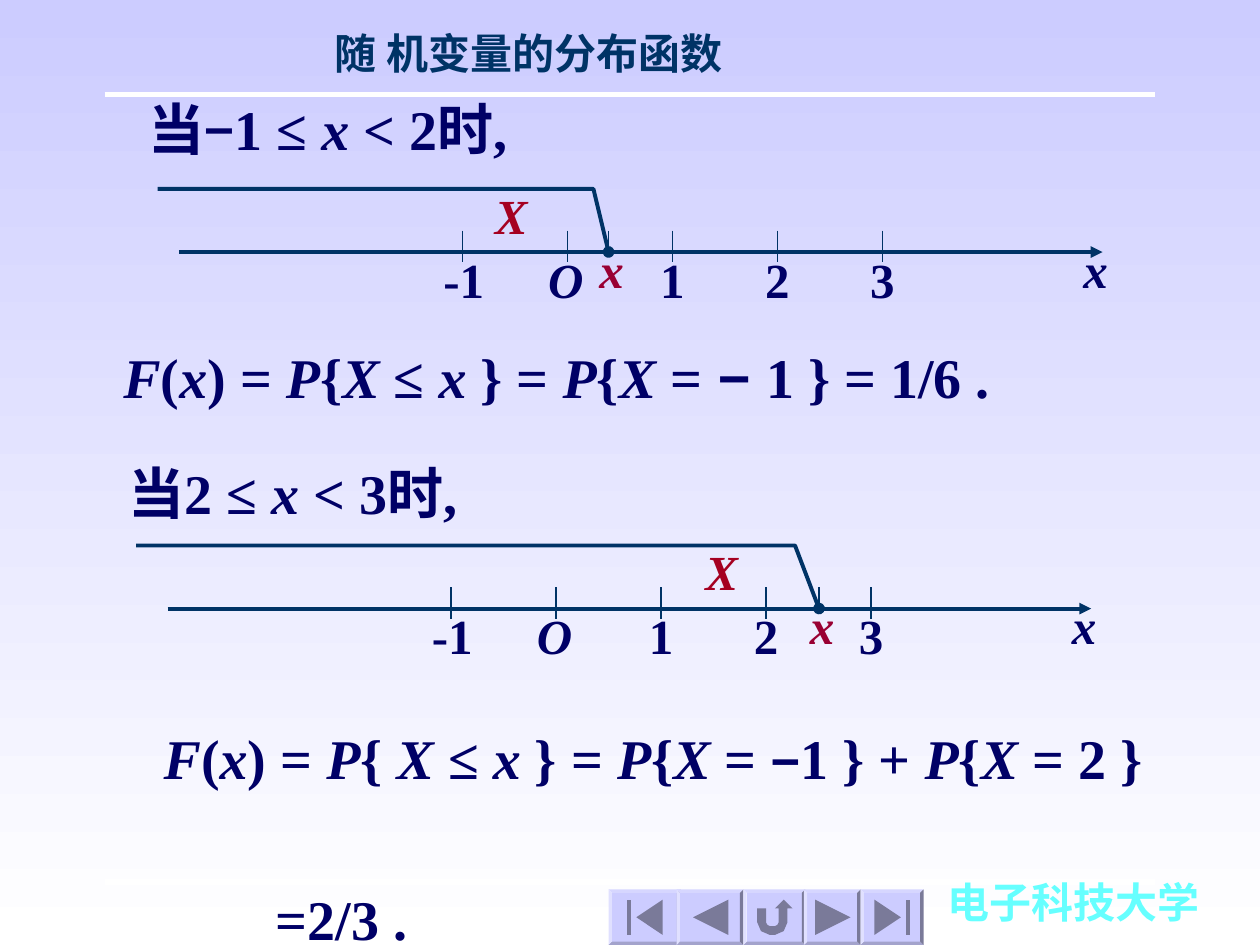
from lxml.etree import SubElement
from pptx import Presentation
from pptx.dml.color import RGBColor
from pptx.enum.shapes import MSO_CONNECTOR, MSO_SHAPE
from pptx.enum.text import MSO_ANCHOR, MSO_AUTO_SIZE, PP_ALIGN
from pptx.oxml.ns import qn
from pptx.util import Inches, Pt

NAVY, TEAL, RED, CRIMSON = "000066", "003366", "A50021", "990033"
LILAC, ICON, WHITE, CYAN = "CCCCFF", "7A7A99", "FFFFFF", "66FFFF"
SERIF, SANS = "Times New Roman", "Arial"
rgb = RGBColor.from_string


def write(shape, paragraphs, size, color=NAVY, align=PP_ALIGN.LEFT, wrap=True):
    """Fill a shape with paragraphs of (text, italic[, font[, size]]) runs."""
    tf = shape.text_frame
    tf.word_wrap = wrap
    tf.auto_size = MSO_AUTO_SIZE.NONE
    tf.vertical_anchor = MSO_ANCHOR.TOP
    for i, runs in enumerate(paragraphs):
        p = tf.add_paragraph() if i else tf.paragraphs[0]
        p.alignment = align
        for text, italic, *special in runs:
            r = p.add_run()
            r.text = text
            r.font.name = special[0] if special else SERIF
            r.font.size = Pt(special[1] if len(special) > 1 else size)
            r.font.bold = True
            r.font.italic = italic
            r.font.color.rgb = rgb(color)
    return tf


def stroke(shape, color, width, end=None, kind=None):
    """Style an outline without shadow; end is headEnd or tailEnd."""
    shape.line.color.rgb = rgb(color)
    shape.line.width = Pt(width)
    if end:
        SubElement(shape.line._get_or_add_ln(), qn("a:" + end), type=kind)
    SubElement(shape._element.spPr, qn("a:effectLst"))


prs = Presentation()
prs.slide_width, prs.slide_height = Inches(10), Inches(7.5)
s = prs.slides.add_slide(prs.slide_layouts[5])
fill = s.background.fill
fill.gradient()
fill.gradient_angle = 270
for stop, color in zip(fill.gradient_stops, (LILAC, WHITE)):
    stop.color.rgb = rgb(color)

# Title, rules and footer
title = s.shapes.title
title.left, title.top, title.width, title.height = map(Inches, (2, 0.17, 4.39, 0.5))
write(title, [[("随 机变量的分布函数", False)]], 24, TEAL, PP_ALIGN.CENTER)
for y in (7, 0.75):
    rule = s.shapes.add_connector(MSO_CONNECTOR.STRAIGHT, Inches(0.83), Inches(y), Inches(9.17), Inches(y))
    stroke(rule, WHITE, 3)
footer = s.shapes.add_textbox(Inches(7.42), Inches(7.02), Inches(2.2), Inches(0.38))
tf = write(footer, [[("电子科技大学", False)]], 24, CYAN, wrap=False)
tf.paragraphs[0].line_spacing = 0.7

# Conditions and formulas
F_OF_X = [("F", True), ("(", False), ("x", True), (") =", False), (" P", True)]
AT_MOST_X = [("X ", True), ("≤ ", False), ("x ", True), ("} = ", False),
             ("P", True), ("{", False), ("X ", True)]
statements = [
    (1.08, 0.7, 4, [("当", False), ("−", False, SANS, 29), ("1 ≤ ", False),
                    ("x", True), (" < 2时,", False)]),
    (0.88, 2.67, 8.42, F_OF_X + [("{", False)] + AT_MOST_X
     + [("=", False), (" − ", False, SANS), ("1 } = 1/6 .", False)]),
    (0.92, 3.59, 7.83, [("当2 ≤ ", False), ("x", True), (" < 3时,", False)]),
]
for x, y, w, runs in statements:
    write(s.shapes.add_textbox(Inches(x), Inches(y), Inches(w), Inches(0.64)), [runs], 32)

result = s.shapes.add_textbox(Inches(0.54), Inches(5.64), Inches(8.75), Inches(1.93))
total = F_OF_X + [("{ ", False)] + AT_MOST_X + [
    ("= ", False), ("−", False, SANS, 29), ("1 } + ", False),
    ("P", True), ("{", False), ("X ", True), ("= 2 }", False)]
tf = write(result, [total, [("=2/3 .", False)]], 32)
for p, indent, spacing in zip(tf.paragraphs, (0.66, 1.55), (1.1, 0.7)):
    p._p.get_or_add_pPr().set("indent", str(Inches(indent)))
    p.line_spacing = spacing
tf.paragraphs[1].space_before = Pt(64)

# Number lines: axis start, height, first tick, point x, bend and start of the region, label X
STEP = 2.5 / 3
number_lines = [(1.42, 2, 3.67, 4.83, 4.71, 1.25, 3.83),
                (1.33, 4.83, 3.58, 6.5, 6.31, 1.08, 5.5)]
for start, y, first, point, bend, region, label in number_lines:
    axis = s.shapes.add_connector(MSO_CONNECTOR.STRAIGHT, Inches(start), Inches(y),
                                  Inches(start + 7.33), Inches(y))
    stroke(axis, TEAL, 2.25, "tailEnd", "triangle")

    ticks = [(first + i * STEP, y + 0.08) for i in range(5)] + [(point, y)]
    for x, bottom in ticks:
        tick = s.shapes.add_connector(MSO_CONNECTOR.STRAIGHT, Inches(x), Inches(y - 0.17),
                                      Inches(x), Inches(bottom))
        stroke(tick, TEAL, 0.75)

    labels = [(start + 7.08, -0.15, 0.5, "x", True, NAVY, PP_ALIGN.LEFT),
              (point - 0.17, -0.15, 0.5, "x", True, CRIMSON, PP_ALIGN.LEFT),
              (label, -0.58, 0.58, "X", True, RED, PP_ALIGN.LEFT)]
    for i, text in enumerate(("-1", "O", "1", "2", "3")):
        labels.append((first + i * STEP - 0.25, -0.07, 0.5 if i else 0.58, text, text == "O",
                       NAVY, PP_ALIGN.CENTER if i > 1 else PP_ALIGN.LEFT))
    for x, dy, w, text, italic, color, align in labels:
        box = s.shapes.add_textbox(Inches(x), Inches(y + dy), Inches(w), Inches(0.57))
        write(box, [[(text, italic)]], 28, color, align)

    fb = s.shapes.build_freeform(Inches(point), Inches(y))
    fb.add_line_segments([(Inches(bend), Inches(y - 0.5)), (Inches(region), Inches(y - 0.5))], close=False)
    outline = fb.convert_to_shape()
    outline.fill.background()
    stroke(outline, TEAL, 2.25, "headEnd", "oval")

# Navigation buttons: left, width, icon outlines
TOP, MID, BOTTOM = 7.14, 7.28, 7.42
u_turn = [(6.01, 7.21), (6.08, 7.21), (6.08, 7.32), (6.09, 7.34), (6.11, 7.35), (6.15, 7.35),
          (6.17, 7.34), (6.18, 7.32), (6.18, 7.21), (6.15, 7.21), (6.22, 7.14), (6.29, 7.21),
          (6.25, 7.21), (6.25, 7.32), (6.22, 7.39), (6.15, 7.42), (6.11, 7.42), (6.04, 7.39),
          (6.01, 7.32)]
buttons = [
    (4.83, 0.57, [[(5.05, MID), (5.26, TOP), (5.26, BOTTOM)],
                  [(4.98, TOP), (5.01, TOP), (5.01, BOTTOM), (4.98, BOTTOM)]]),
    (5.37, 0.53, [[(5.5, MID), (5.78, TOP), (5.78, BOTTOM)]]),
    (5.9, 0.49, [u_turn]),
    (6.38, 0.45, [[(6.47, TOP), (6.75, MID), (6.47, BOTTOM)]]),
    (6.83, 0.5, [[(7.15, MID), (6.94, BOTTOM), (6.94, TOP)],
                 [(7.19, TOP), (7.19, BOTTOM), (7.22, BOTTOM), (7.22, TOP)]]),
]
for x, w, icons in buttons:
    button = s.shapes.add_shape(MSO_SHAPE.BEVEL, Inches(x), Inches(7.06), Inches(w), Inches(0.44))
    button.adjustments[0] = 0.06
    parts = [(button, LILAC)]
    for points in icons:
        corners = [(Inches(px), Inches(py)) for px, py in points]
        fb = s.shapes.build_freeform(*corners[0])
        fb.add_line_segments(corners[1:])
        parts.append((fb.convert_to_shape(), ICON))
    for shape, color in parts:
        shape.fill.solid()
        shape.fill.fore_color.rgb = rgb(color)
        shape.line.fill.background()
        shape.shadow.inherit = False

prs.save("out.pptx")
